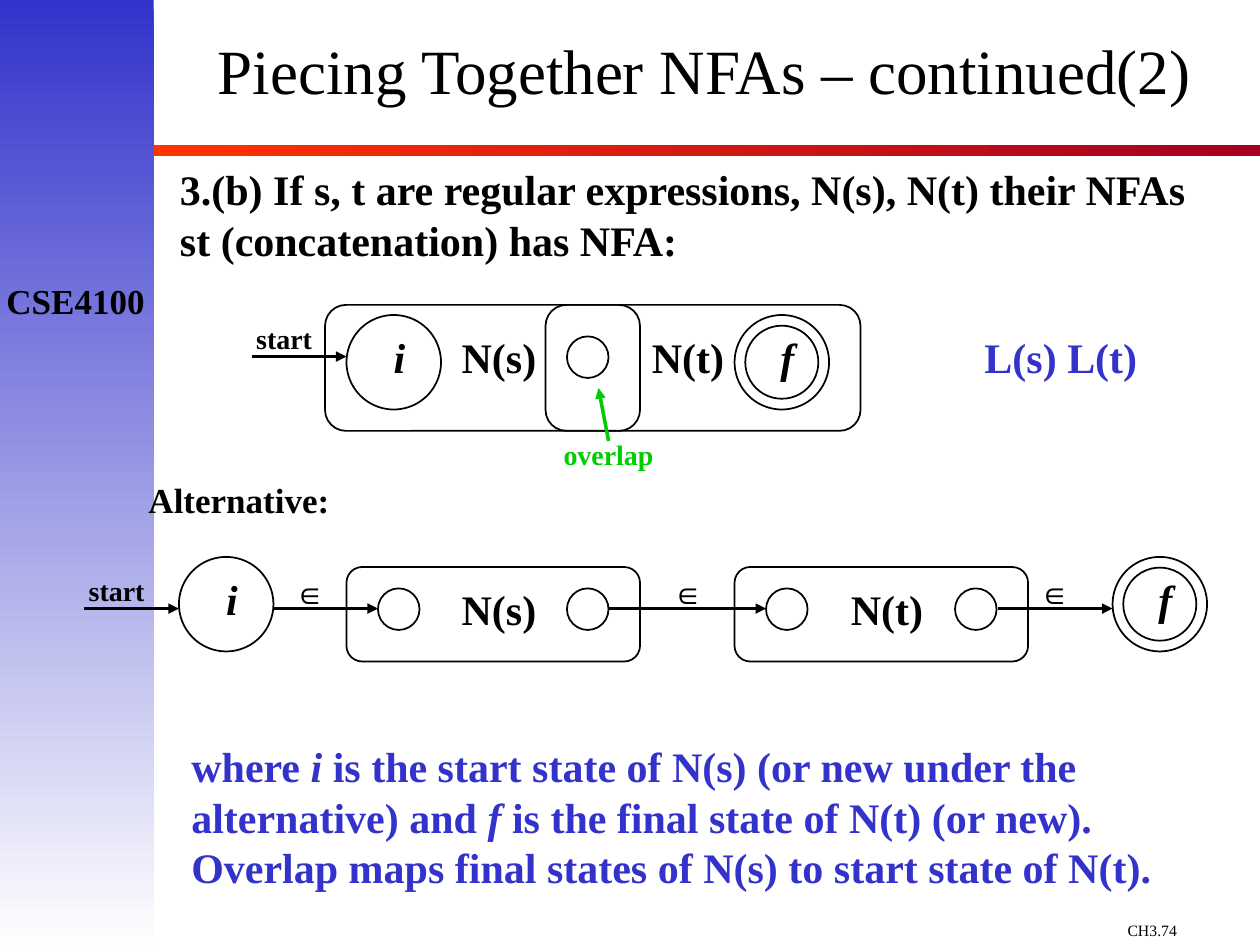
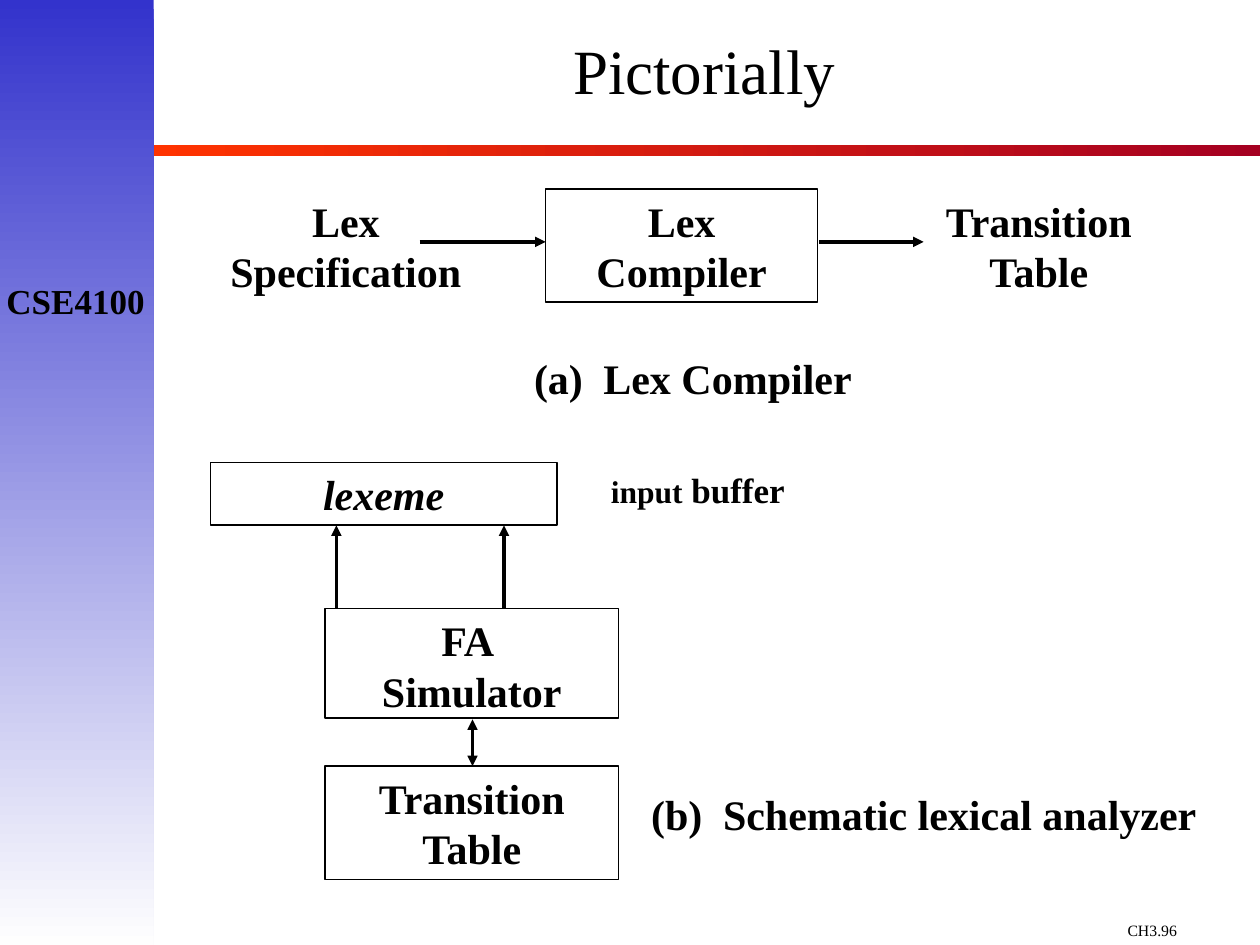
import pptx
import pptx.dml.color
import pptx.enum.shapes
import pptx.enum.text
import pptx.oxml.ns
import pptx.util
from lxml import etree

Inches = pptx.util.Inches
Pt = pptx.util.Pt
RGBColor = pptx.dml.color.RGBColor
Shape = pptx.enum.shapes.MSO_SHAPE
Align = pptx.enum.text.PP_ALIGN
Anchor = pptx.enum.text.MSO_ANCHOR
qn = pptx.oxml.ns.qn

BLACK = RGBColor(0x00, 0x00, 0x00)
BLUE = RGBColor(0x33, 0x33, 0xCC)
PALE = RGBColor(0xFE, 0xFE, 0xFE)
GREEN = RGBColor(0x00, 0xCC, 0x00)
RED = RGBColor(0xFF, 0x33, 0x00)
WINE = RGBColor(0xA5, 0x00, 0x21)

SERIF = "Times New Roman"
BASE = {"name": SERIF, "size": 24, "bold": True, "italic": False}
SMALL = {"size": 16}
MID = {"size": 20}
SIGN = {"name": "Arial", "size": 18}
SLANT = {"italic": True}
CIRCLE = 0.75
NODE = 0.33


# Text
def style(font, form):
    """Apply a dict of format values on top of the base style."""
    values = {**BASE, **form}
    font.color.rgb = values.pop("color", BLACK)
    values["size"] = Pt(values["size"])
    for key, value in values.items():
        setattr(font, key, value)


def write(frame, paras, align, form):
    """Each paragraph is a string or a list of (text, format) runs."""
    frame.word_wrap = True
    for n, runs in enumerate(paras):
        para = frame.paragraphs[0] if n == 0 else frame.add_paragraph()
        para.alignment = align
        if isinstance(runs, str):
            runs = [(runs, {})]
        for words, extra in runs:
            run = para.add_run()
            run.text = words
            style(run.font, {**form, **extra})


def add_text(slide, words, x, y, w, h, align=Align.CENTER, **form):
    box = slide.shapes.add_textbox(Inches(x), Inches(y), Inches(w), Inches(h))
    paras = [words] if isinstance(words, str) else words
    write(box.text_frame, paras, align, form)
    return box


def add_caption(slide, mark, words, x, y, w, tab):
    """A marked caption whose words start at a tab stop."""
    box = add_text(slide, [], x, y, w, 0.5)
    para = box.text_frame.paragraphs[0]
    props = para._p.get_or_add_pPr()
    stops = etree.SubElement(props, qn("a:tabLst"))
    etree.SubElement(stops, qn("a:tab"), pos=str(Inches(tab)), algn="l")
    write(box.text_frame, [f"{mark}\t{words}"], Align.LEFT, {})


# Shapes and lines
def add_shape(slide, kind, x, y, w, h):
    shape = slide.shapes.add_shape(kind, Inches(x), Inches(y), Inches(w), Inches(h))
    shape.shadow.inherit = False
    shape.fill.background()
    shape.line.color.rgb = BLACK
    shape.line.width = Pt(1)
    return shape


def add_fade(slide, x, y, w, h, first, last, angle):
    shape = add_shape(slide, Shape.RECTANGLE, x, y, w, h)
    shape.line.fill.background()
    shape.fill.gradient()
    shape.fill.gradient_angle = angle
    for stop, color in zip(shape.fill.gradient_stops, (first, last)):
        stop.color.rgb = color


def add_box(slide, paras, x, y, w, h, **form):
    box = add_shape(slide, Shape.RECTANGLE, x, y, w, h)
    box.text_frame.vertical_anchor = Anchor.TOP
    write(box.text_frame, paras, Align.CENTER, form)
    return box


def add_arrow(slide, x1, y1, x2, y2, color=BLACK, width=2, ends=("tailEnd",)):
    line = slide.shapes.add_connector(
        pptx.enum.shapes.MSO_CONNECTOR.STRAIGHT,
        Inches(x1), Inches(y1), Inches(x2), Inches(y2))
    line.line.color.rgb = color
    line.line.width = Pt(width)
    props = line.element.spPr
    for end in ends:
        etree.SubElement(props.find(qn("a:ln")), qn("a:" + end), type="triangle")
    etree.SubElement(props, qn("a:effectLst"))


# Parts of an automaton
def add_node(slide, x, y):
    add_shape(slide, Shape.OVAL, x, y, NODE, NODE)


def add_state(slide, name, x, y, final=False):
    add_shape(slide, Shape.OVAL, x, y, CIRCLE, CIRCLE)
    if final:
        add_shape(slide, Shape.OVAL, x + 0.085, y + 0.085, 0.58, 0.58)
    add_text(slide, name, x + 0.17, y + 0.08, 0.5, 0.5, **SLANT)


def add_start(slide, x, y):
    add_arrow(slide, x, y, x + 0.75, y)
    add_text(slide, "start", x - 0.12, y - 0.33, 0.75, 0.37, **SMALL)


def add_frame(slide, x, y, w, h):
    add_shape(slide, Shape.ROUNDED_RECTANGLE, x, y, w, h)


# Common slide base
def new_slide(deck, title, page):
    slide = deck.slides.add_slide(deck.slide_layouts[5])
    add_fade(slide, 1.2, 1.15, 8.8, 0.09, RED, WINE, 0)
    add_fade(slide, 0, 0, 1.22, 7.5, BLUE, PALE, 270)
    add_text(slide, page, 8.85, 7.26, 1.15, 0.24, Align.LEFT, size=9, bold=False)
    mark = add_text(slide, "CSE4100", -0.05, 2.17, 1.3, 0.44, **MID)
    mark.text_frame.word_wrap = False
    head = slide.shapes.title
    place = {"left": 1.18, "top": 0, "width": 8.82, "height": 1.22}
    for key, value in place.items():
        setattr(head, key, Inches(value))
    head.text_frame.vertical_anchor = Anchor.MIDDLE
    write(head.text_frame, [title], Align.CENTER, {"size": 36, "bold": False})
    head.text_frame.paragraphs[0].line_spacing = 0.8
    return slide


def draw_concat(deck):
    slide = new_slide(deck, "Piecing Together NFAs – continued(2)", "CH3.74")
    add_text(slide, "3.(b) If s, t are regular expressions, N(s), N(t) their NFAs "
             "st (concatenation) has NFA:", 1.33, 1.25, 8.33, 0.9, Align.LEFT)

    # Overlapping automata
    add_start(slide, 2, 2.83)
    add_state(slide, "i", 2.75, 2.5)
    add_state(slide, "f", 5.83, 2.5, final=True)
    for name, left, label in (("N(s)", 2.58, 3.5), ("N(t)", 4.33, 5)):
        add_frame(slide, left, 2.42, 2.5, 1)
        add_text(slide, name, label, 2.58, 0.92, 0.5)
    add_node(slide, 4.5, 2.67)
    add_text(slide, "L(s) L(t)", 7.42, 2.58, 2, 0.5, color=BLUE)
    add_arrow(slide, 4.83, 3.5, 4.75, 3.08, GREEN)
    add_text(slide, "overlap", 4.08, 3.42, 1.5, 0.37, color=GREEN, **SMALL)

    # Automata joined by empty moves
    add_text(slide, "Alternative:", 1.08, 3.75, 2.25, 0.44, Align.LEFT, **MID)
    add_start(slide, 0.67, 4.83)
    add_state(slide, "i", 1.42, 4.42)
    add_state(slide, "f", 8.83, 4.42, final=True)
    for name, left in (("N(s)", 2.75), ("N(t)", 5.83)):
        add_frame(slide, left, 4.5, 2.33, 0.75)
        for gap in (0.25, 1.75):
            add_node(slide, left + gap, 4.67)
        add_text(slide, name, left + 0.75, 4.58, 0.92, 0.5)
    for x1, x2, label in ((2.17, 3, 2.17), (4.83, 6.08, 5.17), (7.92, 8.83, 8.08)):
        add_arrow(slide, x1, 4.83, x2, 4.83)
        add_text(slide, "∈", label, 4.5, 0.58, 0.4, **SIGN)

    # Closing note
    note = [("where ", {}), ("i", SLANT),
            (" is the start state of N(s) (or new under the alternative) and ", {}),
            ("f", SLANT),
            (" is the final state of N(t) (or new). Overlap maps final states "
             "of N(s) to start state of N(t).", {})]
    add_text(slide, [note], 1.42, 5.83, 8.25, 1.3, Align.LEFT, color=BLUE)


def draw_lex(deck):
    slide = new_slide(deck, "Pictorially", "CH3.96")

    # Lex compiler
    add_text(slide, "Lex Specification", 1.58, 1.5, 2.33, 0.9)
    add_box(slide, ["Lex Compiler"], 4.33, 1.5, 2.16, 0.9)
    add_text(slide, "Transition Table", 7.08, 1.5, 2.33, 0.9)
    for x1, x2 in ((3.33, 4.33), (6.5, 7.33)):
        add_arrow(slide, x1, 1.92, x2, 1.92)
    add_caption(slide, "(a)", "Lex Compiler", 4.14, 2.75, 3, 0.55)

    # Lexical analyzer
    add_box(slide, ["lexeme"], 1.67, 3.67, 2.75, 0.5, **SLANT)
    add_text(slide, [[("input", {"size": 18}), (" buffer", MID)]],
             4.75, 3.67, 2.33, 0.44, Align.LEFT)
    engine = add_box(slide, ["FA ", "Simulator"], 2.58, 4.83, 2.33, 0.87)
    last = engine.text_frame.paragraphs[1]
    last.space_before = Pt(15)
    last.line_spacing = 0.4
    add_box(slide, ["Transition Table"], 2.58, 6.08, 2.33, 0.9)
    for x in (2.67, 4):
        add_arrow(slide, x, 4.83, x, 4.17)
    add_arrow(slide, 3.75, 5.71, 3.75, 6.08, width=1.5, ends=("headEnd", "tailEnd"))
    add_caption(slide, "(b)", "Schematic lexical analyzer", 5.07, 6.21, 4.8, 0.57)


def main():
    deck = pptx.Presentation()
    deck.slide_width = Inches(10)
    deck.slide_height = Inches(7.5)
    draw_concat(deck)
    draw_lex(deck)
    deck.save("out.pptx")


if __name__ == "__main__":
    main()
